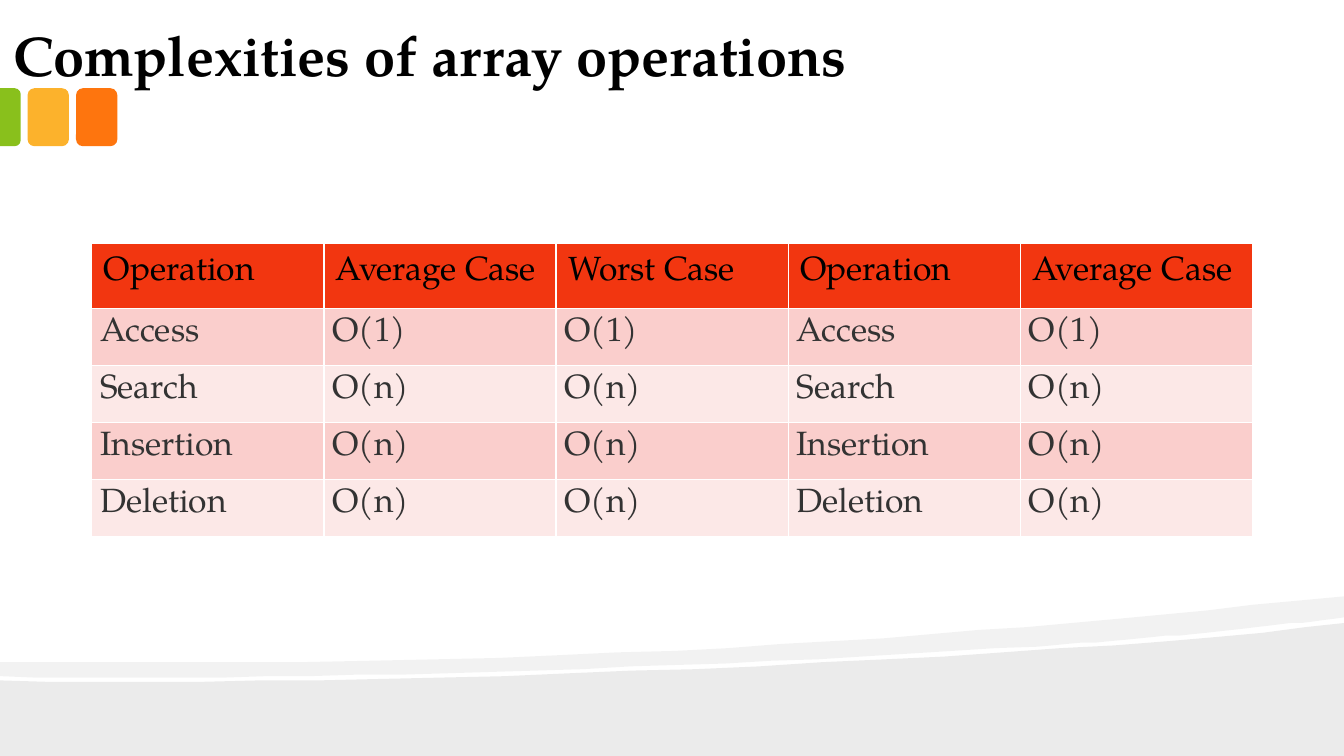
from lxml import etree
from pptx import Presentation
from pptx.dml.color import RGBColor
from pptx.enum.shapes import MSO_SHAPE as Preset
from pptx.enum.text import MSO_ANCHOR as Anchor, PP_ALIGN as Align
from pptx.oxml import parse_xml
from pptx.oxml.ns import nsdecls, qn
from pptx.util import Pt

BLACK = RGBColor(0, 0, 0)
DARK_GREY = RGBColor(0x33, 0x33, 0x33)
ORANGE = RGBColor(0xFE, 0x75, 0x0E)
AMBER = RGBColor(0xFC, 0xB2, 0x2C)
GREEN = RGBColor(0x89, 0xC0, 0x1C)
HEADER_RED = RGBColor(0xF2, 0x36, 0x10)
BAND_COLORS = [RGBColor(0xFA, 0xCE, 0xCC), RGBColor(0xFC, 0xE8, 0xE7)]
FONT = "TeX Gyre Pagella"
CURVE_STEPS = 24

presentation = Presentation()
presentation.slide_width, presentation.slide_height = Pt(960), Pt(540)
slide = presentation.slides.add_slide(presentation.slide_layouts[6])
shapes = slide.shapes


def paint(shape, color):
    shape.shadow.inherit = False
    shape.fill.solid()
    shape.fill.fore_color.rgb = color
    shape.line.fill.background()


def add_run(paragraph, text, size, color, bold=False):
    run = paragraph.add_run()
    run.text = text
    run.font.name = FONT
    run.font.size = Pt(size)
    run.font.bold = bold
    run.font.color.rgb = color


waves = [
    (8, [[(960, 445)], [(960, 540)], [(0, 540)], [(0, 486)],
         [(253.4, 491.8), (750.2, 471.6), (960, 445)]]),
    (5, [[(960, 426.2)], [(960, 440.6)],
         [(903.6, 448.6), (827.3, 455.8), (740.9, 461.5)],
         [(502.6, 477.4), (185.8, 487.4), (0, 483.1)],
         [(0, 473)],
         [(469.4, 476.6), (699.1, 451.4), (960, 426.2)]]),
]
for opacity, segments in waves:
    outline = []
    for segment in segments:
        if len(segment) == 1:
            outline += segment
            continue
        controls = [outline[-1]] + segment
        for step in range(1, CURVE_STEPS + 1):
            t = step / CURVE_STEPS
            weights = [(1 - t) ** 3, 3 * t * (1 - t) ** 2, 3 * t ** 2 * (1 - t), t ** 3]
            outline.append(tuple(
                sum(weight * point[axis] for weight, point in zip(weights, controls))
                for axis in (0, 1)))
    builder = shapes.build_freeform(*outline[0], scale=Pt(1))
    builder.add_line_segments(outline[1:], close=True)
    wave = builder.convert_to_shape()
    paint(wave, BLACK)
    color_element = wave.fill._xPr.find(qn("a:solidFill"))[0]
    etree.SubElement(color_element, qn("a:alpha"), val=str(opacity * 1000))

for left, color in [(54.3, ORANGE), (19.7, AMBER)]:
    tile = shapes.add_shape(Preset.ROUNDED_RECTANGLE, Pt(left), Pt(63), Pt(29.5), Pt(41.4))
    paint(tile, color)

edge_tile = shapes.add_shape(Preset.ROUND_2_SAME_RECTANGLE, Pt(-13.3), Pt(76.3), Pt(41.4), Pt(14.8))
edge_tile.rotation = 90
edge_tile.adjustments[0] = 0.29
paint(edge_tile, GREEN)

title = shapes.add_textbox(0, Pt(0.7), Pt(738.7), Pt(67)).text_frame
title.word_wrap = True
title.vertical_anchor = Anchor.BOTTOM
title.margin_left = title.margin_right = Pt(9.6)
title.margin_top = title.margin_bottom = Pt(4.8)
add_run(title.paragraphs[0], "Complexities of array operations", 40, BLACK, True)

rows = [
    ["Operation", "Average Case", "Worst Case", "Operation", "Average Case"],
    ["Access", "O(1)", "O(1)", "Access", "O(1)"],
    ["Search", "O(n)", "O(n)", "Search", "O(n)"],
    ["Insertion", "O(n)", "O(n)", "Insertion", "O(n)"],
    ["Deletion", "O(n)", "O(n)", "Deletion", "O(n)"],
]
table = shapes.add_table(len(rows), len(rows[0]), Pt(65.6), Pt(174.2), Pt(829), Pt(169)).table
for column in table.columns:
    column.width = Pt(165.8)
for row in table.rows:
    row.height = Pt(33.8)

for row_index, texts in enumerate(rows):
    is_header = row_index == 0
    for column_index, text in enumerate(texts):
        cell = table.cell(row_index, column_index)
        margin = Pt(8.6 if is_header else 6)
        cell.margin_left = cell.margin_right = margin
        cell.margin_top = cell.margin_bottom = margin
        paragraph = cell.text_frame.paragraphs[0]
        if not is_header:
            paragraph.alignment = Align.JUSTIFY
        add_run(paragraph, text, 24, BLACK if is_header else DARK_GREY)
        cell.fill.solid()
        cell.fill.fore_color.rgb = HEADER_RED if is_header else BAND_COLORS[(row_index - 1) % 2]
        properties = cell._tc.get_or_add_tcPr()
        for position, side in enumerate(["lnL", "lnR", "lnT", "lnB"]):
            properties.insert(position, parse_xml(
                f'<a:{side} {nsdecls("a")} w="12700"><a:solidFill>'
                f'<a:srgbClr val="FFFFFF"/></a:solidFill></a:{side}>'))

presentation.save("out.pptx")
